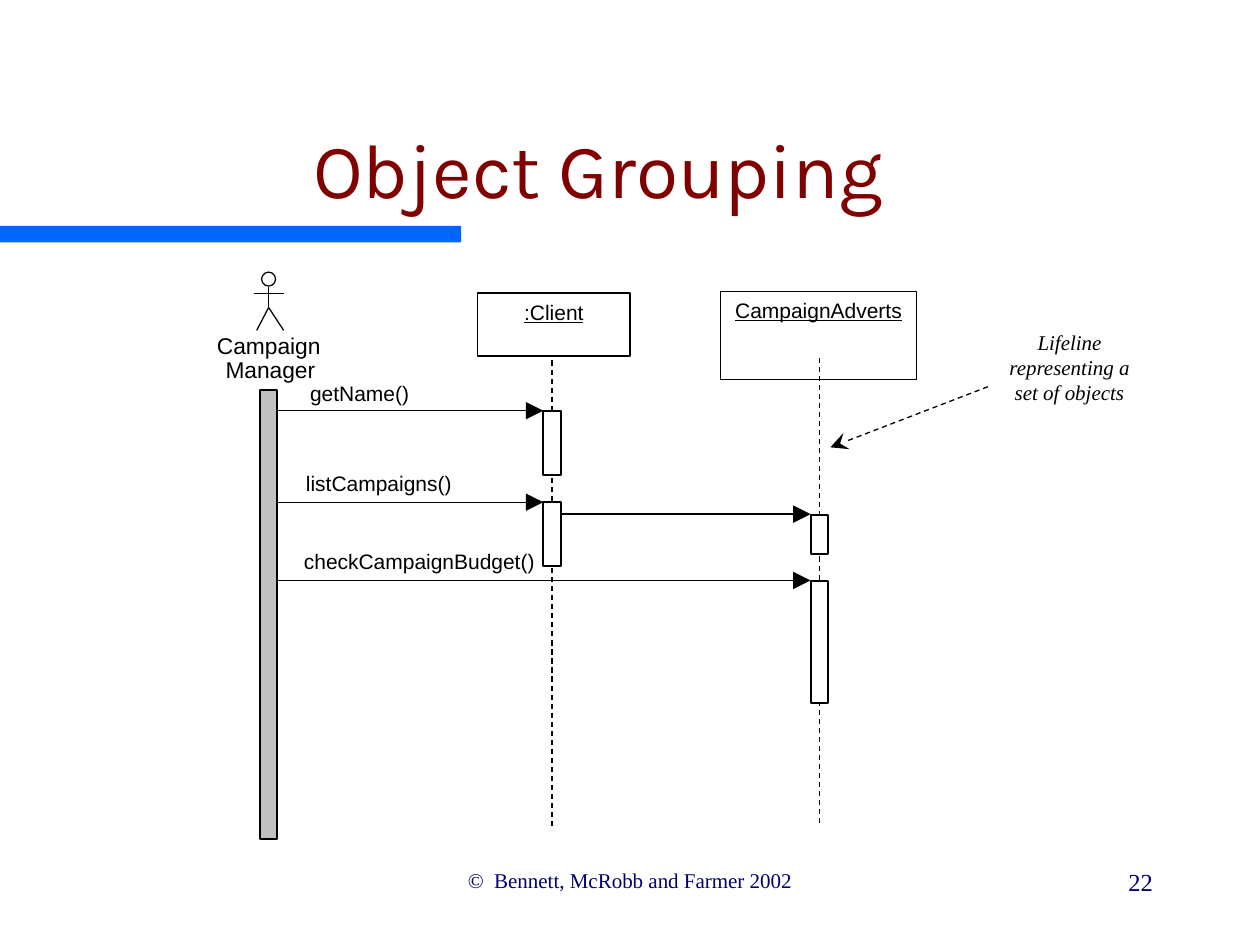
from lxml.etree import SubElement
from pptx import Presentation
from pptx.dml.color import RGBColor
from pptx.enum.dml import MSO_LINE_DASH_STYLE as Dash
from pptx.enum.shapes import MSO_CONNECTOR as Connector, MSO_SHAPE as Shape
from pptx.enum.text import MSO_ANCHOR as Anchor, MSO_AUTO_SIZE as AutoSize, PP_ALIGN as Align
from pptx.oxml.ns import qn
from pptx.util import Pt

COLORS = {"ink": "000000", "paper": "FFFFFF", "accent": "0066FF",
          "title": "800000", "footer": "000066", "actor": "C0C0C0"}
SANS, SERIF, HEADING = "Arial", "Times New Roman", "Karla"
BAR_WIDTH = 10
MANAGER_X, CLIENT_X, ADVERTS_X = 153.5, 315.4, 468.2


def color(name):
    return RGBColor.from_string(COLORS[name])


def write(shape, text, size, font, tint="ink", align=Align.CENTER, inset=(7.2, 3.6),
          italic=False, underline=False, wrap=True, anchor=Anchor.TOP):
    frame = shape.text_frame
    frame.text = text
    frame.auto_size = AutoSize.NONE
    frame.word_wrap = wrap
    frame.vertical_anchor = anchor
    frame.margin_left = frame.margin_right = Pt(inset[0])
    frame.margin_top = frame.margin_bottom = Pt(inset[1])
    para = frame.paragraphs[0]
    para.alignment = align
    for span in para.runs:
        span.font.size = Pt(size)
        span.font.name = font
        span.font.color.rgb = color(tint)
        span.font.italic = italic
        span.font.underline = underline


def add_text(page, left, top, width, height, text, size, font, **style):
    box = page.shapes.add_textbox(Pt(left), Pt(top), Pt(width), Pt(height))
    write(box, text, size, font, **style)


def add_label(page, center, top, width, text, size=12):
    add_text(page, center - width / 2, top, width, 15, text, size, SANS,
             inset=(0, 0), wrap=False)


def add_block(page, left, top, width, height, fill=None, line=None, kind=Shape.RECTANGLE):
    block = page.shapes.add_shape(kind, Pt(left), Pt(top), Pt(width), Pt(height))
    block.shadow.inherit = False
    if fill:
        block.fill.solid()
        block.fill.fore_color.rgb = color(fill)
    else:
        block.fill.background()
    if line:
        block.line.color.rgb = color("ink")
        block.line.width = Pt(line)
    else:
        block.line.fill.background()
    return block


def add_activation(page, center, top, height, fill="paper"):
    add_block(page, center - BAR_WIDTH / 2, top, BAR_WIDTH, height, fill, 1.13)


def add_line(page, start, end, width=0.75, dashed=False, head=None):
    line = page.shapes.add_connector(Connector.STRAIGHT, *map(Pt, start + end))
    line.line.color.rgb = color("ink")
    line.line.width = Pt(width)
    if dashed:
        line.line.dash_style = Dash.DASH
    properties = line.element.spPr
    if head:
        SubElement(properties.find(qn("a:ln")), qn("a:tailEnd"), type=head, w="lg", len="lg")
    SubElement(properties, qn("a:effectLst"))


def add_object(page, left, top, width, height, name):
    block = add_block(page, left, top, width, height, line=0.75)
    write(block, name, 12, SANS, underline=True)


def add_message(page, start, end, y):
    add_line(page, (start + BAR_WIDTH / 2, y), (end - BAR_WIDTH / 2, y), head="triangle")


def add_actor(page, x):
    add_block(page, x - 4, 155.5, 8, 8, "paper", 0.71, Shape.OVAL)
    hip = (x, 175.7)
    for start, end in [((x, 164), hip), (hip, (x - 6.8, 188.8)),
                       (hip, (x + 8.6, 188.8)), ((x - 8.6, 167.5), (x + 8.6, 167.5))]:
        add_line(page, start, end, 0.71)
    add_label(page, x, 189.4, 60, "Campaign", 13)
    add_label(page, x + 1, 203, 52, "Manager", 13)


def main():
    deck = Presentation()
    deck.slide_width, deck.slide_height = Pt(720), Pt(540)
    page = deck.slides.add_slide(deck.slide_layouts[5])

    add_block(page, 0, 129, 263.5, 9.5, "accent")
    title = page.shapes.title
    title.left, title.top, title.width, title.height = Pt(18), Pt(36), Pt(648), Pt(90)
    write(title, "Object Grouping", 44, HEADING, tint="title", anchor=Anchor.BOTTOM)
    add_text(page, 186, 492, 348, 36, "©  Bennett, McRobb and Farmer 2002", 12, SERIF,
             tint="footer")
    add_text(page, 516, 492, 150, 36, "22", 14, SERIF, tint="footer", align=Align.RIGHT)

    add_object(page, 273, 167.5, 87, 36, ":Client")
    add_object(page, 411.8, 166.5, 112, 50.4, "CampaignAdverts")
    for x, top, bottom in [(CLIENT_X, 206, 472), (ADVERTS_X, 204.5, 471)]:
        add_line(page, (x, top), (x, bottom), dashed=True)

    add_activation(page, MANAGER_X, 222.7, 257, "actor")
    for x, top, height in [(CLIENT_X, 235, 36.7), (CLIENT_X, 287, 36.7),
                           (ADVERTS_X, 294.5, 22.3), (ADVERTS_X, 332, 69.8)]:
        add_activation(page, x, top, height)

    for start, end, y in [(MANAGER_X, CLIENT_X, 234.7), (MANAGER_X, CLIENT_X, 287),
                          (CLIENT_X, ADVERTS_X, 293.8), (MANAGER_X, ADVERTS_X, 331.7)]:
        add_message(page, start, end, y)
    for center, top, width, text in [(205.5, 217.6, 65, "getName()"),
                                     (216.5, 268.7, 125, "listCampaigns()"),
                                     (239.7, 313.5, 132.5, "checkCampaignBudget()")]:
        add_label(page, center, top, width, text)

    add_text(page, 568, 184.5, 86.4, 50.4, "Lifeline representing a set of objects", 12, SERIF,
             italic=True)
    add_line(page, (564.5, 221), (474.5, 255.6), dashed=True, head="stealth")
    add_actor(page, MANAGER_X)

    deck.save("out.pptx")


if __name__ == "__main__":
    main()
